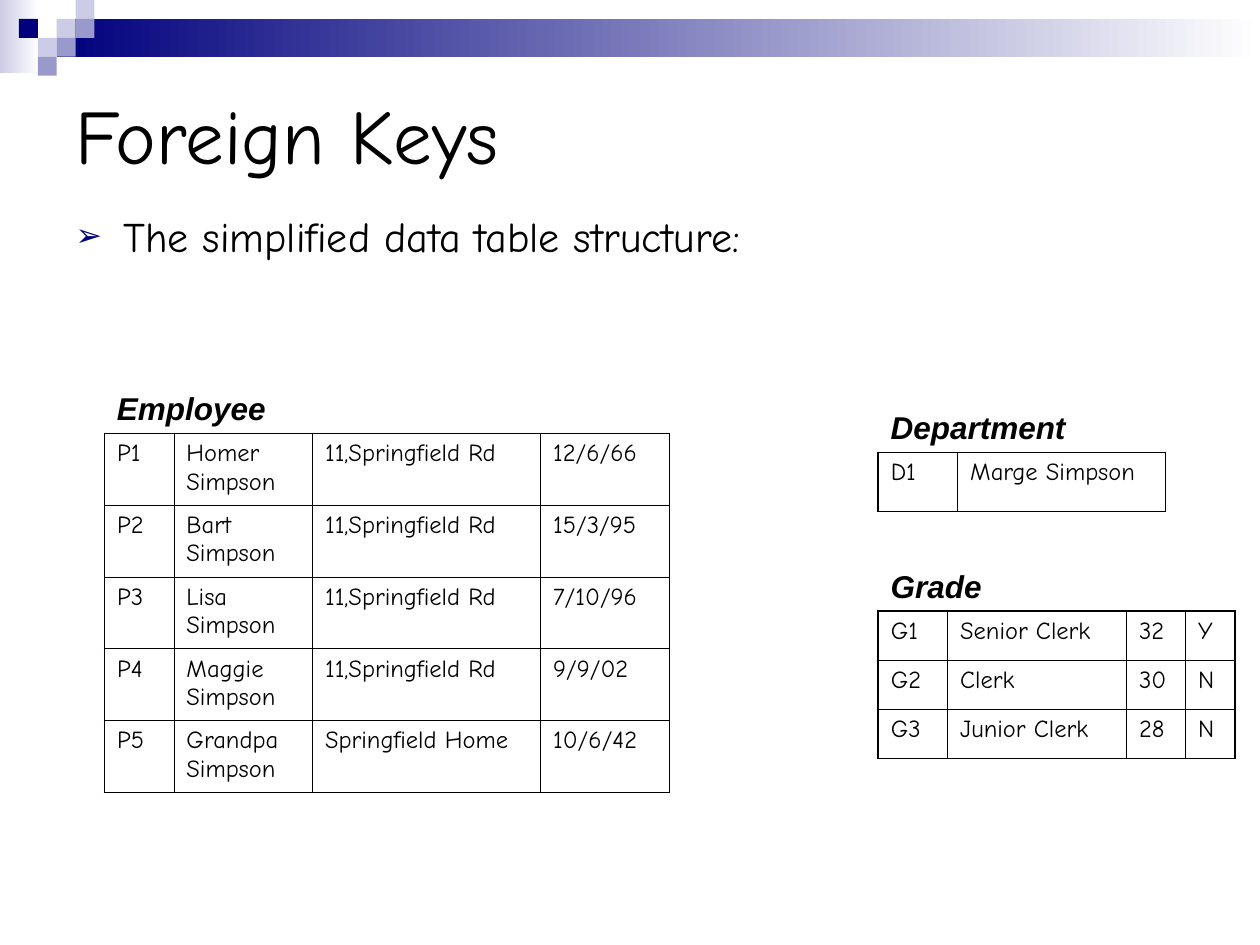
import pptx
import pptx.dml.color
import pptx.enum.shapes
import pptx.enum.text
import pptx.oxml
import pptx.oxml.ns
import pptx.util

Inches = pptx.util.Inches
Pt = pptx.util.Pt
NAVY, MID, PALE = "00007D", "9999CC", "CCCCE6"
WHITE, BLACK = "FFFFFF", "000000"


def color(code):
    return pptx.dml.color.RGBColor.from_string(code)


def element(xml):
    space = pptx.oxml.ns.nsdecls("a")
    return pptx.oxml.parse_xml(xml.replace(" ", f" {space} ", 1))


def write(frame, text, size=14, font="Comic Neue", tint=BLACK, bold=False, italic=False):
    para = frame.paragraphs[0]
    para.alignment = pptx.enum.text.PP_ALIGN.LEFT
    run = para.add_run()
    run.text = text
    face = run.font
    face.size, face.name = Pt(size), font
    face.bold, face.italic = bold, italic
    face.color.rgb = color(tint)
    return para


class Deck:
    thin, thick = 0.45, 1.08

    def __init__(self, wide, high):
        self.file = pptx.Presentation()
        self.file.slide_width, self.file.slide_height = Inches(wide), Inches(high)
        self.slide = self.file.slides.add_slide(self.file.slide_layouts[1])

    def rect(self, x, y, w, h, first, last=None):
        kind = pptx.enum.shapes.MSO_SHAPE.RECTANGLE
        box = self.slide.shapes.add_shape(kind, Inches(x), Inches(y), Inches(w), Inches(h))
        box.shadow.inherit = False
        box.line.fill.background()
        if last:
            box.fill.gradient()
            box.fill.gradient_angle = 0
            for stop, code in zip(box.fill.gradient_stops, (first, last)):
                stop.color.rgb = color(code)
        else:
            box.fill.solid()
            box.fill.fore_color.rgb = color(first)

    def holder(self, index, x, y, w, h, anchor):
        box = self.slide.placeholders[index]
        box.left, box.top, box.width, box.height = map(Inches, (x, y, w, h))
        frame = box.text_frame
        frame.auto_size = pptx.enum.text.MSO_AUTO_SIZE.NONE
        frame.vertical_anchor = anchor
        return frame

    def title(self, text):
        frame = self.holder(0, 0.5, 0.5, 9, 1.12, pptx.enum.text.MSO_ANCHOR.MIDDLE)
        write(frame, text, size=44)

    def body(self, text):
        frame = self.holder(1, 0.5, 1.62, 9.07, 1.1, pptx.enum.text.MSO_ANCHOR.TOP)
        para = write(frame, text, size=24)
        para.space_before = Pt(0)
        props = para._p.get_or_add_pPr()
        props.set("marL", str(Inches(0.38)))
        props.set("indent", str(-Inches(0.38)))
        for xml in (
            f'<a:buClr ><a:srgbClr val="{NAVY}"/></a:buClr>',
            '<a:buSzPct val="75000"/>',
            '<a:buChar char="➢"/>',
        ):
            props.append(element(xml))

    def label(self, text, x, y):
        box = self.slide.shapes.add_textbox(Inches(x), Inches(y), Inches(2.2), Inches(0.4))
        box.text_frame.word_wrap = True
        write(box.text_frame, text, size=18, font="Arial", bold=True, italic=True)

    def edge(self, cell, widths):
        props = cell._tc.get_or_add_tcPr()
        for spot, (side, width) in enumerate(zip("LRTB", widths)):
            props.insert(spot, element(
                f'<a:ln{side} w="{Pt(width)}"><a:solidFill>'
                f'<a:srgbClr val="{BLACK}"/></a:solidFill></a:ln{side}>'))

    def table(self, name, x, y, cols, high, rows, right=thick):
        count, span = len(rows), len(cols)
        grid = self.slide.shapes.add_table(
            count, span, Inches(x), Inches(y), Inches(sum(cols)), Inches(high * count)).table
        grid.first_row = grid.horz_banding = False
        for col, width in zip(grid.columns, cols):
            col.width = Inches(width)
        for i, row in enumerate(rows):
            grid.rows[i].height = Inches(high)
            for j, text in enumerate(row):
                cell = grid.cell(i, j)
                cell.fill.background()
                write(cell.text_frame, text)
                # Heavy lines outside, fine lines inside
                self.edge(cell, (
                    self.thick if j == 0 else self.thin,
                    right if j == span - 1 else self.thin,
                    self.thick if i == 0 else self.thin,
                    self.thick if i == count - 1 else self.thin))
        self.label(name, x, y - 0.4)


def main():
    deck = Deck(10, 7.5)

    # Banner and its mosaic of squares
    deck.rect(0, 0, 0.31, 0.58, PALE, WHITE)
    deck.rect(0.45, 0.15, 9.55, 0.3, NAVY, WHITE)
    side = 0.15
    for col, row, code in (
        (3, 1, PALE), (4, 0, PALE), (4, 1, MID), (2, 2, PALE),
        (1, 1, NAVY), (3, 2, MID), (2, 3, MID),
    ):
        deck.rect(col * side, row * side, side, side, code)

    # Heading and bullet
    deck.title("Foreign Keys")
    deck.body("The simplified data table structure:")

    # Data tables
    deck.table("Department", 6.97, 3.59, (0.63, 1.65), 0.47, [("D1", "Marge Simpson")])
    deck.table("Grade", 6.97, 4.85, (0.55, 1.42, 0.47, 0.39), 0.39, [
        ("G1", "Senior Clerk", "32", "Y"),
        ("G2", "Clerk", "30", "N"),
        ("G3", "Junior Clerk", "28", "N"),
    ])
    road = "11,Springfield Rd"
    deck.table("Employee", 0.83, 3.44, (0.55, 1.1, 1.81, 1.02), 0.57, [
        ("P1", "Homer Simpson", road, "12/6/66"),
        ("P2", "Bart Simpson", road, "15/3/95"),
        ("P3", "Lisa Simpson", road, "7/10/96"),
        ("P4", "Maggie Simpson", road, "9/9/02"),
        ("P5", "Grandpa Simpson", "Springfield Home", "10/6/42"),
    ], right=deck.thin)

    deck.file.save("out.pptx")


if __name__ == "__main__":
    main()
